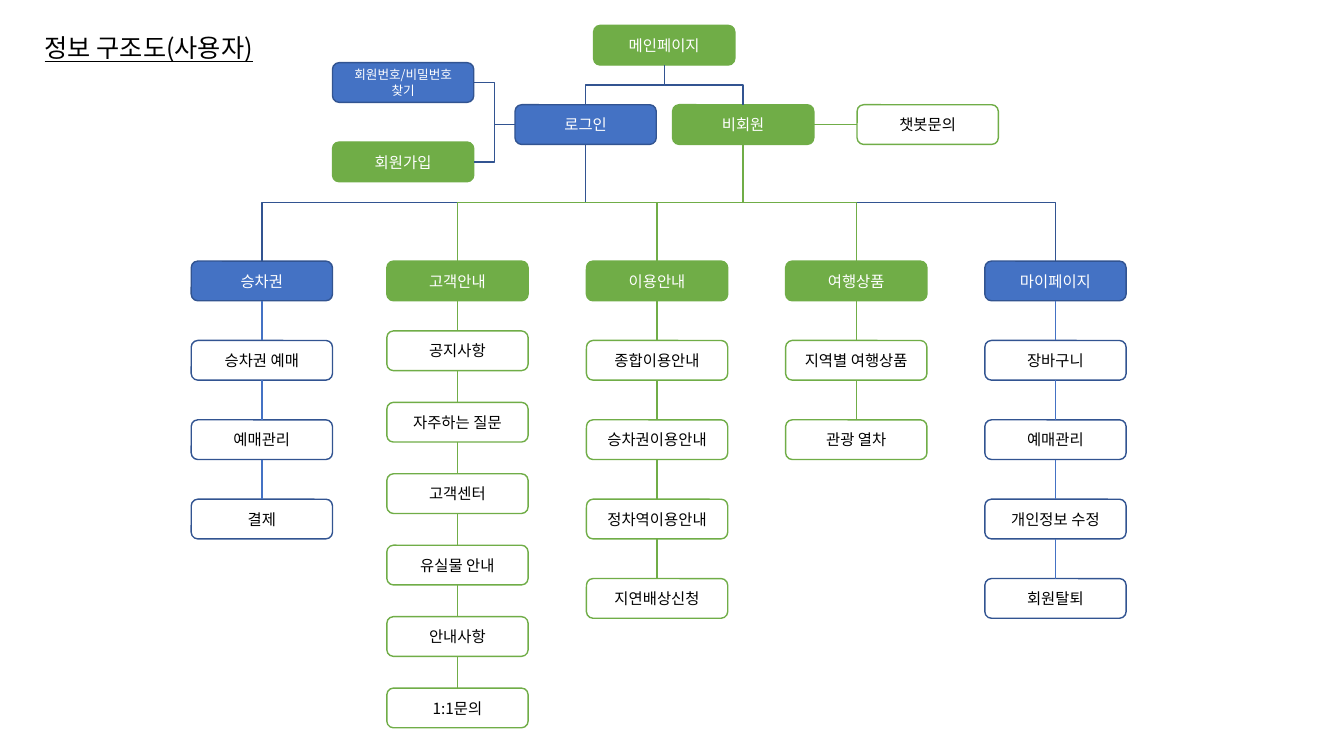
from lxml.etree import SubElement
from pptx import Presentation
from pptx.dml.color import RGBColor
from pptx.enum.shapes import MSO_CONNECTOR as LINK, MSO_SHAPE
from pptx.enum.text import MSO_ANCHOR, MSO_AUTO_SIZE, PP_ALIGN
from pptx.oxml.ns import qn
from pptx.util import Cm, Pt

FONT = "Noto Sans CJK KR"
BLUE, NAVY, GREEN = "4472C4", "325491", "70AD47"
BLACK, WHITE = "000000", "FFFFFF"
TOP, LEFT, BOTTOM, RIGHT = range(4)  # connection sites of a box
rgb = RGBColor.from_string

prs = Presentation()
prs.slide_width, prs.slide_height = Cm(33.87), Cm(19.05)
shapes = prs.slides.add_slide(prs.slide_layouts[6]).shapes


def write(shape, text, size, colour):
    frame = shape.text_frame
    frame.word_wrap = True
    frame.vertical_anchor = MSO_ANCHOR.MIDDLE
    frame.text = text
    for paragraph in frame.paragraphs:
        paragraph.alignment = PP_ALIGN.CENTER
        font = paragraph.font
        font.size, font.name = Pt(size), FONT
        font.color.rgb = rgb(colour)
        SubElement(font._element, qn("a:ea"), typeface=FONT)


def link(start, end, colour, sites=(BOTTOM, TOP), kind=LINK.STRAIGHT):
    line = shapes.add_connector(kind, 0, 0, 0, 0)
    line.begin_connect(start, sites[0])
    line.end_connect(end, sites[1])
    line.line.color.rgb = rgb(colour)
    line.line.width = Pt(1)
    properties = line._element.spPr
    SubElement(properties, qn("a:effectLst"))
    # An elbow that leaves downwards is a turned horizontal elbow
    if kind == LINK.ELBOW and sites[0] == BOTTOM:
        rightward = line.end_x > line.begin_x
        across, down = line.width, line.height
        line.left += (across - down) // 2
        line.top += (down - across) // 2
        line.width, line.height = down, across
        properties.xfrm.rot = 270 if rightward else 90
        properties.xfrm.flipH = rightward


# Title
title = shapes.add_textbox(Cm(0.64), Cm(0.69), Cm(6.22), Cm(1.02))
write(title, "정보 구조도(사용자)", 18, BLACK)
title.text_frame.auto_size = MSO_AUTO_SIZE.SHAPE_TO_FIT_TEXT
title.text_frame.paragraphs[0].font.underline = True

# Page boxes: text, left, top, fill, outline
pages = [
    ("메인페이지", 14.96, 0.64, GREEN, GREEN),
    ("로그인", 12.98, 2.64, BLUE, NAVY),
    ("비회원", 16.95, 2.64, GREEN, GREEN),
    ("회원번호/비밀번호\n찾기", 8.38, 1.58, BLUE, NAVY),
    ("회원가입", 8.38, 3.58, GREEN, GREEN),
    ("챗봇문의", 21.6, 2.64, None, GREEN),
]

# Menu columns: left, outline, first item top, item pitch, heading, items
menus = [
    (4.82, NAVY, 8.58, 2, "승차권", ["승차권 예매", "예매관리", "결제"]),
    (9.75, GREEN, 8.34, 1.8, "고객안내",
     ["공지사항", "자주하는 질문", "고객센터", "유실물 안내", "안내사항", "1:1문의"]),
    (14.78, GREEN, 8.58, 2, "이용안내",
     ["종합이용안내", "승차권이용안내", "정차역이용안내", "지연배상신청"]),
    (19.8, GREEN, 8.58, 2, "여행상품", ["지역별 여행상품", "관광 열차"]),
    (24.82, NAVY, 8.58, 2, "마이페이지",
     ["장바구니", "예매관리", "개인정보 수정", "회원탈퇴"]),
]
for left, outline, first, pitch, heading, items in menus:
    pages.append((heading, left, 6.58, BLUE if outline == NAVY else GREEN, outline))
    for row, item in enumerate(items):
        pages.append((item, left, first + row * pitch, None, outline))

boxes = []
for text, left, top, fill, outline in pages:
    box = shapes.add_shape(MSO_SHAPE.ROUNDED_RECTANGLE, Cm(left), Cm(top), Cm(3.56), Cm(1))
    box.shadow.inherit = False
    if fill:
        box.fill.solid()
        box.fill.fore_color.rgb = rgb(fill)
    else:
        box.fill.background()
    box.line.color.rgb = rgb(outline)
    box.line.width = Pt(1)
    write(box, text, 9 if "\n" in text else 11, WHITE if fill else BLACK)
    boxes.append(box)
main, login, guest, find_account, sign_up, chatbot, *menu_boxes = boxes

# Split the menu boxes into columns
columns = []
for *_, items in menus:
    size = len(items) + 1
    columns.append(menu_boxes[:size])
    menu_boxes = menu_boxes[size:]

# Links from the main page, the login and the guest entry
for entry in (login, guest):
    link(main, entry, NAVY, kind=LINK.ELBOW)
for column in columns:
    link(login, column[0], NAVY, kind=LINK.ELBOW)
for account_page in (find_account, sign_up):
    link(login, account_page, NAVY, (LEFT, RIGHT), LINK.ELBOW)
for column in columns[3:0:-1]:
    link(guest, column[0], GREEN, kind=LINK.ELBOW)
link(guest, chatbot, GREEN, (RIGHT, LEFT))

# Links down each menu column
for (_, outline, *_), column in zip(menus, columns):
    for upper, lower in zip(column, column[1:]):
        link(upper, lower, BLUE if outline == NAVY else GREEN)

prs.save("out.pptx")
